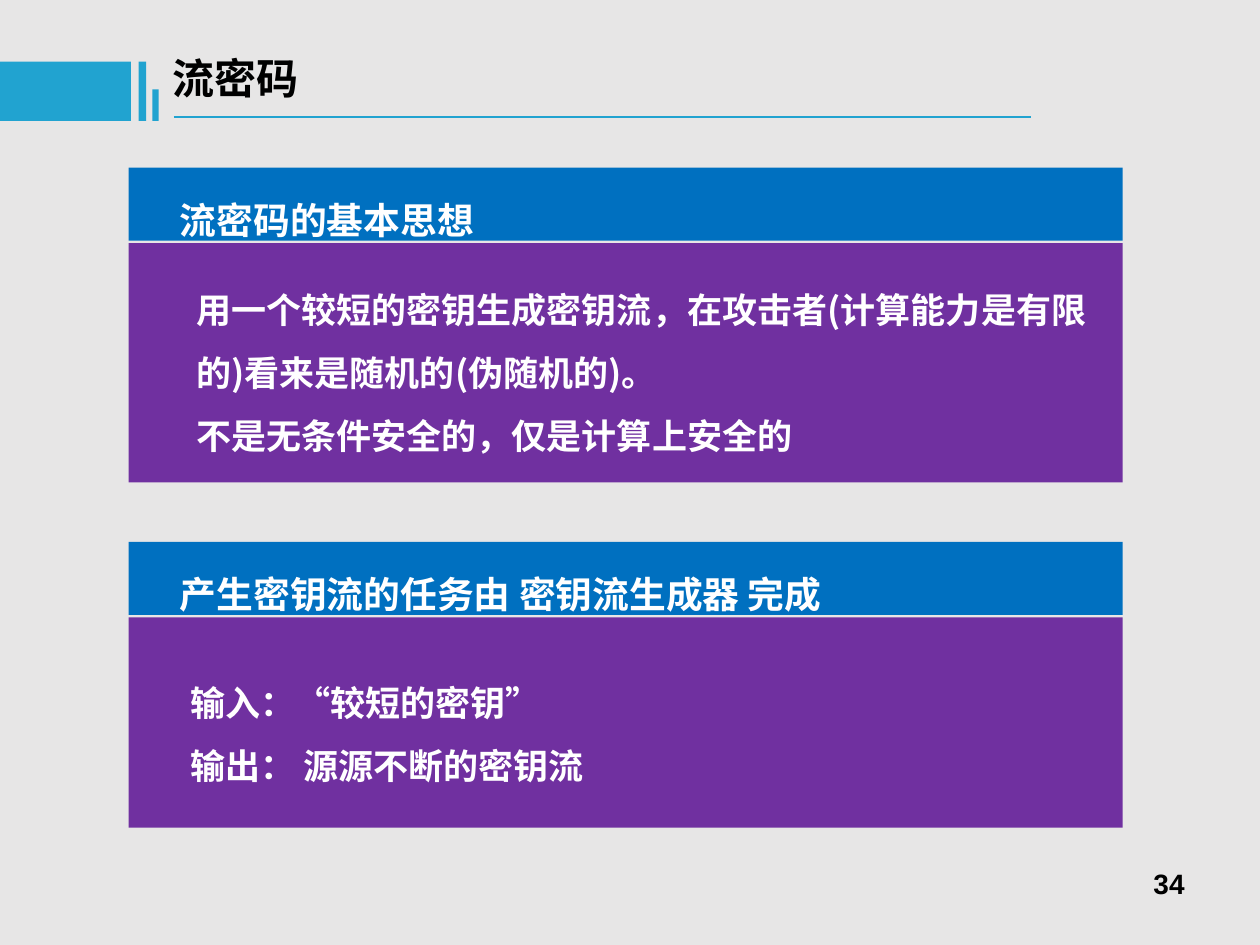
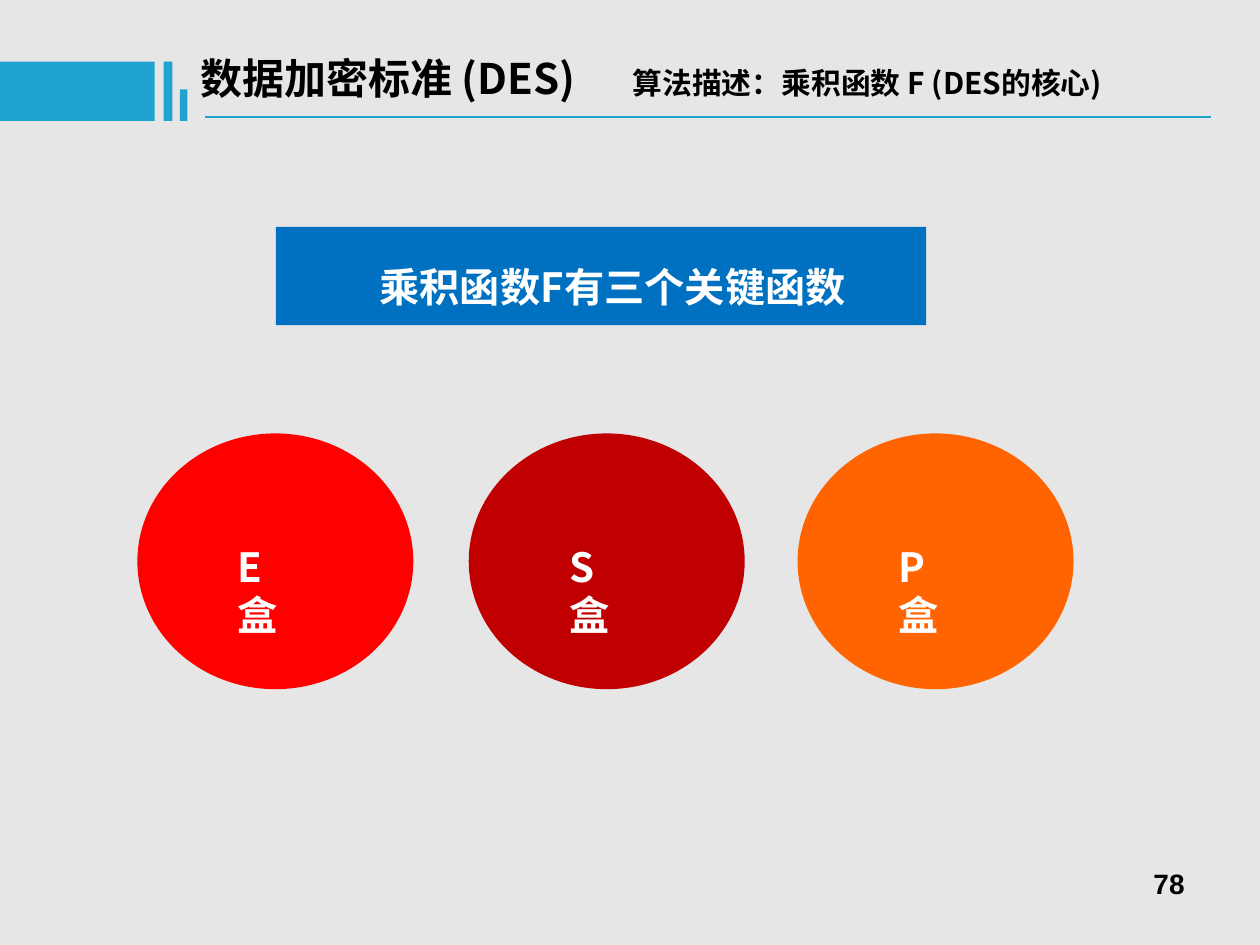
"""Build two cryptography slides: stream ciphers and the DES product function."""
import pptx
import pptx.dml.color
import pptx.enum.shapes
import pptx.enum.text
import pptx.oxml
import pptx.oxml.ns
import pptx.util

Inches = pptx.util.Inches
Pt = pptx.util.Pt
MSO = pptx.enum.shapes.MSO_SHAPE
ALIGN = pptx.enum.text.PP_ALIGN
rgb = pptx.dml.color.RGBColor.from_string
qn = pptx.oxml.ns.qn

CJK = "Noto Sans CJK SC"
ACCENT, BLUE, PURPLE = "21A3D0", "0070C0", "7030A0"
BLACK, WHITE, GREY = "000000", "FFFFFF", "E7E6E6"


def block(s, kind, box, color):
    """Add a filled preset shape without outline or shadow."""
    sp = s.shapes.add_shape(kind, *map(Inches, box))
    sp.shadow.inherit = False
    sp.fill.solid()
    sp.fill.fore_color.rgb = rgb(color)
    sp.line.fill.background()


def write(sp, lines, color, leading, font=CJK, align=ALIGN.LEFT, inset=(0.1, 0.08)):
    """Write lines, each a list of (text, size) runs, with a line height in points."""
    tf = sp.text_frame
    layout = {"word_wrap": True, "auto_size": pptx.enum.text.MSO_AUTO_SIZE.NONE,
              "vertical_anchor": pptx.enum.text.MSO_ANCHOR.TOP,
              "margin_left": Inches(inset[0]), "margin_right": Inches(0.1),
              "margin_top": Inches(inset[1]), "margin_bottom": Inches(0.05)}
    for name, value in layout.items():
        setattr(tf, name, value)
    for i, runs in enumerate(lines):
        p = tf.add_paragraph() if i else tf.paragraphs[0]
        for name, value in {"alignment": align, "line_spacing": Pt(leading),
                            "space_before": Pt(0)}.items():
            setattr(p, name, value)
        for text, size in runs:
            r = p.add_run()
            r.text = text
            for name, value in {"name": font, "size": Pt(size), "bold": True}.items():
                setattr(r.font, name, value)
            r.font.color.rgb = rgb(color)
            ea = r.font._element.makeelement(qn("a:ea"), {"typeface": font})
            r.font._element.append(ea)


prs = pptx.Presentation()
prs.slide_width, prs.slide_height = Inches(10), Inches(7.5)
bg = prs.slide_master.background.fill
bg.solid()
bg.fore_color.rgb = rgb(GREY)

headers = [
    ([("流密码", 24)], "34", 1, (1.27, 0.33, 6.84, 0.9), 8.18),
    ([("数据加密标准 (DES)", 24), ("\t算法描述：乘积函数 F (DES的核心)", 17)],
     "78", 1.18, (1.49, 0.33, 8.04, 0.79), 9.61),
]
slides = []
for title, number, stretch, box, rule_end in headers:
    s = prs.slides.add_slide(prs.slide_layouts[5])
    slides.append(s)
    for x, y, w, h in [(0, 0.49, 1.04, 0.47), (1.1, 0.49, 0.06, 0.47), (1.21, 0.71, 0.05, 0.25)]:
        block(s, MSO.RECTANGLE, (x * stretch, y, w * stretch, h), ACCENT)
    rule = s.shapes.add_connector(pptx.enum.shapes.MSO_CONNECTOR.STRAIGHT,
                                  Inches(1.38 * stretch), Inches(0.93),
                                  Inches(rule_end), Inches(0.93))
    rule.line.color.rgb = rgb(ACCENT)
    rule.line.width = Pt(1.5)
    rule._element.spPr.append(pptx.oxml.parse_xml(
        '<a:effectLst xmlns:a="http://schemas.openxmlformats.org/drawingml/2006/main"/>'))
    sp = s.shapes.title
    sp.left, sp.top, sp.width, sp.height = map(Inches, box)
    write(sp, [title], BLACK, 29)
    if len(title) > 1:
        pPr = sp.text_frame.paragraphs[0]._p.get_or_add_pPr()
        tabs = pPr.makeelement(qn("a:tabLst"), {})
        tabs.append(pPr.makeelement(qn("a:tab"), {"pos": str(Inches(3.43)), "algn": "l"}))
        pPr.append(tabs)
    sp = s.shapes.add_textbox(*map(Inches, (7.17, 6.83, 2.33, 0.52)))
    write(sp, [[(number, 16)]], BLACK, 18.4, "Arial", ALIGN.RIGHT, (0.1, 0.06))

s = slides[0]
cards = [
    (1.33, 1.9, "流密码的基本思想", (1.46, 2.04, 7.29, 1.6),
     ["用一个较短的密钥生成密钥流，在攻击者(计算能力是有限的)看来是随机的(伪随机的)。",
      "不是无条件安全的，仅是计算上安全的"]),
    (4.3, 1.67, "产生密钥流的任务由 密钥流生成器 完成", (1.41, 5.16, 7.29, 1.1),
     ["输入：“较短的密钥”", "输出： 源源不断的密钥流"]),
]
for top, height, heading, box, lines in cards:
    block(s, MSO.RECTANGLE, (1.02, top + 0.6, 7.89, height), PURPLE)
    sp = s.shapes.add_textbox(*map(Inches, box))
    write(sp, [[(line, 20)] for line in lines], WHITE, 36)
    block(s, MSO.RECTANGLE, (1.02, top, 7.89, 0.58), BLUE)
    sp = s.shapes.add_textbox(*map(Inches, (1.33, top - 0.02, 7.27, 0.63)))
    write(sp, [[(heading, 21)]], WHITE, 38)

s = slides[1]
for x, letter, color in [(1.09, "E", "FF0000"), (3.72, "S", "C00000"), (6.33, "P", "FF6400")]:
    block(s, MSO.OVAL, (x, 3.44, 2.19, 2.03), color)
    sp = s.shapes.add_textbox(*map(Inches, (x + 0.7, 4.22, 0.6, 0.9)))
    write(sp, [[(letter + "盒", 23)]], WHITE, 27.6)
block(s, MSO.RECTANGLE, (2.19, 1.8, 5.16, 0.78), BLUE)
sp = s.shapes.add_textbox(*map(Inches, (2.87, 1.83, 4.2, 0.64)))
write(sp, [[("乘积函数F有三个关键函数", 23)]], WHITE, 41.4, inset=(0.14, 0.06))

prs.save("out.pptx")
